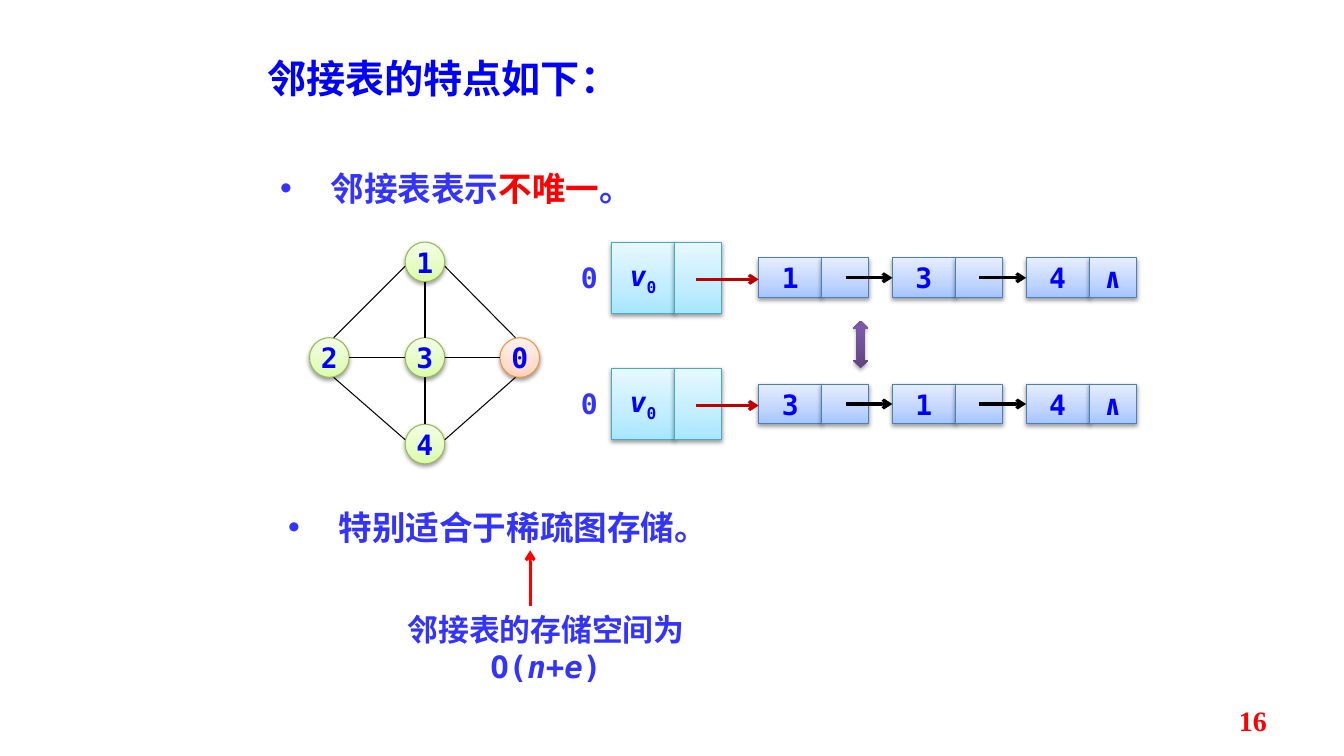
from dataclasses import dataclass

from pptx import Presentation
from pptx.dml.color import RGBColor
from pptx.enum.shapes import MSO_CONNECTOR as Connector, MSO_SHAPE as Preset
from pptx.enum.text import MSO_ANCHOR as Anchor, MSO_AUTO_SIZE as AutoSize, PP_ALIGN as Align
from pptx.oxml.ns import qn
from pptx.oxml.xmlchemy import OxmlElement as Element
from pptx.util import Cm, Pt


@dataclass(frozen=True)
class Theme:
    # Colours
    blue: str = "0000FF"
    violet: str = "3333FF"
    red: str = "FF0000"
    dark_red: str = "C00000"
    black: str = "000000"
    # Gradients, bottom to top, as (percent, colour), with their outline
    green: tuple = (((0, "DAFDA7"), (35, "E4FCC2"), (100, "F5FFE7")), "98B955")
    orange: tuple = (((0, "FFD2BD"), (35, "FFDED0"), (100, "FFF2ED")), "F69240")
    pale_blue: tuple = (((0, "A4C4FF"), (35, "BFD4FF"), (100, "E6EEFF")), "4B7EBC")
    aqua: tuple = (((0, "A7E6FF"), (35, "C1EDFF"), (100, "E7F8FF")), "46AAC5")
    purple: tuple = (((0, "5F4480"), (80, "7B58A6"), (100, "7C57A8")), None)
    # Typefaces and sizes
    mono: str = "DejaVu Sans Mono"
    chinese: str = "Noto Sans CJK SC"
    serif: str = "Times New Roman"
    title: int = 28
    bullet: int = 24
    caption: int = 22
    label: int = 20
    # Line widths
    thin: float = 0.75
    thick: float = 2.25


THEME = Theme()


def add_child(parent, tag, **attributes):
    child = Element(tag)
    for key, value in attributes.items():
        child.set(key, str(value))
    parent.append(child)
    return child


def write(paragraph, runs, size, color, latin, asian=None, align=Align.CENTER):
    """Each run is (text, {"color" | "italic" | "baseline": value})."""
    paragraph.alignment = align
    paragraph.font.size = Pt(size)
    paragraph.font.bold = True
    paragraph.font.name = latin
    paragraph.font.color.rgb = RGBColor.from_string(color)
    add_child(paragraph.font._element, "a:ea", typeface=asian or latin)
    for text, look in runs:
        run = paragraph.add_run()
        run.text = text
        if "color" in look:
            run.font.color.rgb = RGBColor.from_string(look["color"])
        if "italic" in look:
            run.font.italic = look["italic"]
        if "baseline" in look:
            run.font._element.set("baseline", str(look["baseline"]))


def add_text(shapes, box, runs, size, color, latin, asian=None, align=Align.CENTER,
             bullet=False, inset=True, anchor=Anchor.TOP):
    frame = shapes.add_textbox(*map(Cm, box)).text_frame
    frame.word_wrap = True
    frame.auto_size = AutoSize.NONE
    frame.vertical_anchor = anchor
    if not inset:
        frame.margin_left = frame.margin_right = frame.margin_top = frame.margin_bottom = 0
    paragraph = frame.paragraphs[0]
    if bullet:
        properties = paragraph._p.get_or_add_pPr()
        properties.set("marL", str(Cm(1.27)))
        properties.set("indent", str(-Cm(1.27)))
        add_child(properties, "a:buFont", typeface="Arial")
        add_child(properties, "a:buChar", char="•")
    write(paragraph, runs, size, color, latin, asian, align)


def add_block(shapes, preset, box, look, runs=()):
    """Gradient shape with a soft shadow and an optional label."""
    stops, outline = look
    block = shapes.add_shape(preset, *map(Cm, box))
    block.fill.gradient()
    block.fill.gradient_angle = 90
    stop_list = block._element.spPr.find(qn("a:gradFill")).find(qn("a:gsLst"))
    stop_list.clear()
    for percent, color in stops:
        stop = add_child(stop_list, "a:gs", pos=percent * 1000)
        add_child(stop, "a:srgbClr", val=color)
    if outline:
        block.line.color.rgb = RGBColor.from_string(outline)
        block.line.width = Pt(THEME.thin)
    else:
        block.line.fill.background()
    block.shadow.inherit = False
    effects = block._element.spPr.find(qn("a:effectLst"))
    shadow = add_child(effects, "a:outerShdw", blurRad=Pt(3.1), dist=Pt(1.6),
                       dir=5400000, rotWithShape=0)
    add_child(add_child(shadow, "a:srgbClr", val=THEME.black), "a:alpha", val=38000)
    if runs:
        block.text_frame.word_wrap = False
        block.text_frame.vertical_anchor = Anchor.MIDDLE
        write(block.text_frame.paragraphs[0], runs, THEME.label, THEME.blue, THEME.mono)


def add_line(shapes, start, end, color=THEME.black, width=THEME.thin, arrow=False):
    line = shapes.add_connector(Connector.STRAIGHT, *map(Cm, (*start, *end)))
    line.line.color.rgb = RGBColor.from_string(color)
    line.line.width = Pt(width)
    properties = line._element.spPr
    if arrow:
        add_child(properties.find(qn("a:ln")), "a:tailEnd", type="arrow")
    add_child(properties, "a:effectLst")


def add_graph(shapes):
    radius, lean = 0.5, 0.11
    left, center, right = 8.3, 10.71, 13.1
    top, middle, bottom = 6.6, 9.01, 11.19
    vertices = {"1": (center, top), "3": (center, middle), "2": (left, middle),
                "0": (right, middle), "4": (center, bottom)}
    for name, (x, y) in vertices.items():
        look = THEME.orange if name == "0" else THEME.green
        add_block(shapes, Preset.OVAL, (x - radius, y - radius, 2 * radius, 2 * radius),
                  look, [(name, {})])
    # Outer edges
    for tip_y, down in ((top, 1), (bottom, -1)):
        for side_x, out in ((left, -1), (right, 1)):
            add_line(shapes, (center + out * radius, tip_y + down * lean),
                     (side_x - out * lean, middle - down * radius))
    # Spokes from the middle vertex
    for x, out in ((left, -1), (right, 1)):
        add_line(shapes, (center + out * radius, middle), (x - out * radius, middle))
    for y, out in ((top, -1), (bottom, 1)):
        add_line(shapes, (center, middle + out * radius), (center, y - out * radius))


def add_adjacency_row(shapes, top, neighbours):
    data_width, link_width, pitch = 1.59, 1.19, 3.37
    head_left, list_left = 15.41, 19.12

    def add_pair(left, y, height, look, data, link=()):
        add_block(shapes, Preset.RECTANGLE, (left, y, data_width, height), look, data)
        add_block(shapes, Preset.RECTANGLE, (left + data_width, y, link_width, height),
                  look, link)

    for index, neighbour in enumerate(neighbours):
        last = index == len(neighbours) - 1
        add_pair(list_left + index * pitch, top + 0.4, 1, THEME.pale_blue,
                 [(neighbour, {})], [("∧", {})] if last else ())
    for index in range(1, len(neighbours)):
        target = list_left + index * pitch
        add_line(shapes, (target - 1.18, top + 0.9), (target, top + 0.9),
                 width=THEME.thick, arrow=True)
    add_pair(head_left, top, 1.79, THEME.aqua,
             [("v", {"italic": True}), ("0", {"baseline": -25000})])
    add_text(shapes, (14.35, top + 0.46, 1, 0.86), [("0", {})],
             THEME.label, THEME.violet, THEME.mono, inset=False)
    add_line(shapes, (17.53, top + 0.94), (list_left, top + 0.94),
             THEME.dark_red, THEME.thick, arrow=True)


def main():
    deck = Presentation()
    deck.slide_width, deck.slide_height = Cm(33.87), Cm(19.05)
    slide = deck.slides.add_slide(deck.slide_layouts[6])
    shapes = slide.shapes

    # Title and the two properties
    add_text(shapes, (6.48, 1.24, 12.04, 1.45), [("邻接表的特点如下：", {})],
             THEME.title, THEME.blue, THEME.chinese, align=Align.JUSTIFY)
    not_unique = [("邻接表表示", {}), ("不唯一", {"color": THEME.red}), ("。", {})]
    sparse = [("特别适合于稀疏图存储。", {})]
    for left, top, runs in ((6.81, 4.11, not_unique), (7.01, 12.65, sparse)):
        add_text(shapes, (left, top, 12.9, 1.27), runs, THEME.bullet, THEME.violet,
                 THEME.chinese, align=Align.JUSTIFY, bullet=True)

    # Graph and its two equivalent lists
    add_graph(shapes.add_group_shape().shapes)
    lists = shapes.add_group_shape().shapes
    for top, neighbours in ((6.1, "134"), (9.28, "314")):
        add_adjacency_row(lists, top, neighbours)
    add_block(lists, Preset.UP_DOWN_ARROW, (21.49, 8.08, 0.4, 1.2), THEME.purple)

    # Storage cost
    storage = shapes.add_group_shape().shapes
    add_line(storage, (13.36, 15.27), (13.36, 13.87), THEME.red, THEME.thick, arrow=True)
    add_text(storage, (8.66, 15.27, 10.2, 1.2),
             [("邻接表的存储空间为O(", {}), ("n+e", {"italic": True}), (")", {})],
             THEME.caption, THEME.violet, THEME.mono, THEME.chinese)

    # Page number
    add_text(shapes, (24.28, 17.65, 7.9, 1.02), [("16", {})], THEME.label, THEME.red,
             THEME.serif, align=Align.RIGHT, anchor=Anchor.MIDDLE)

    deck.save("out.pptx")


if __name__ == "__main__":
    main()
